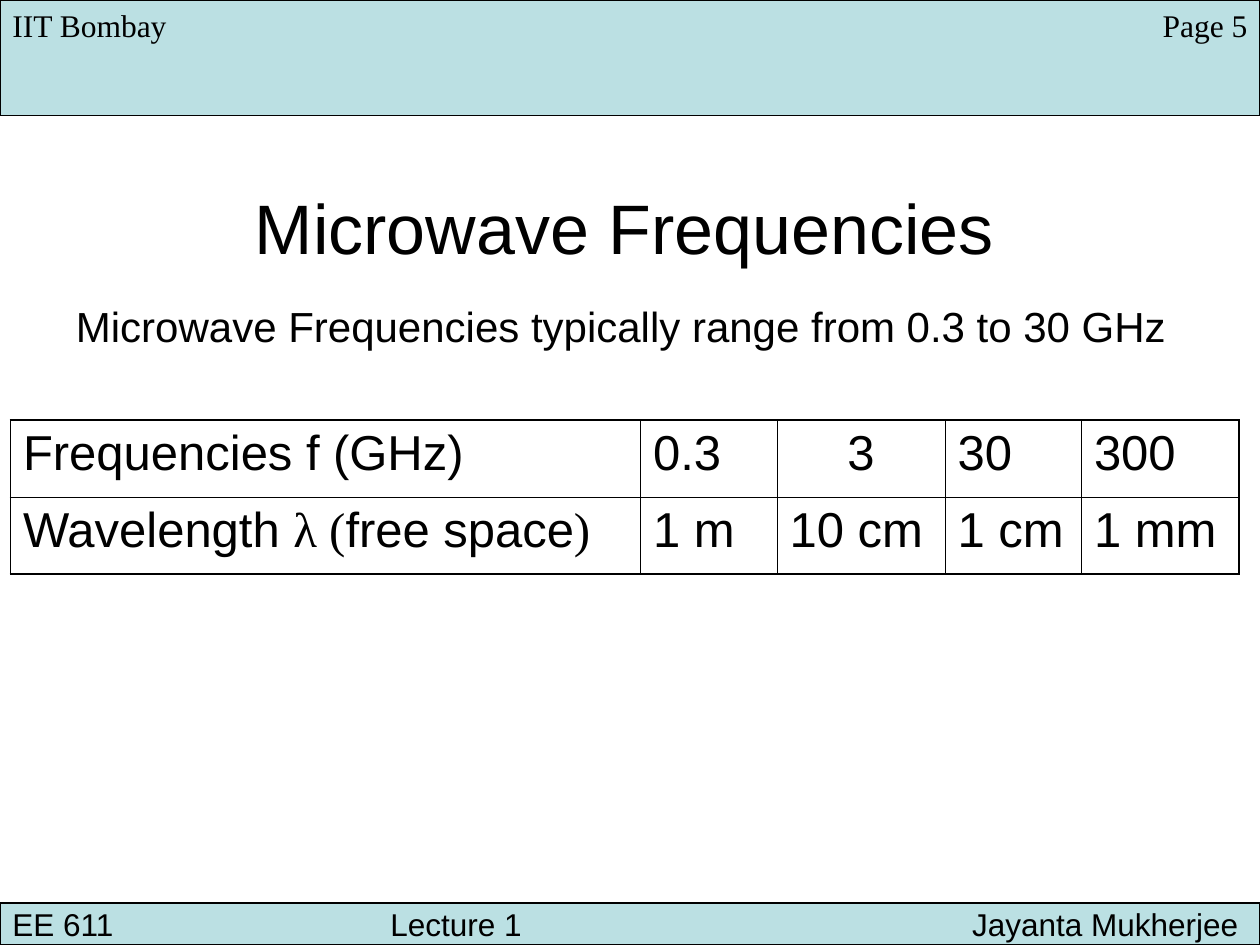
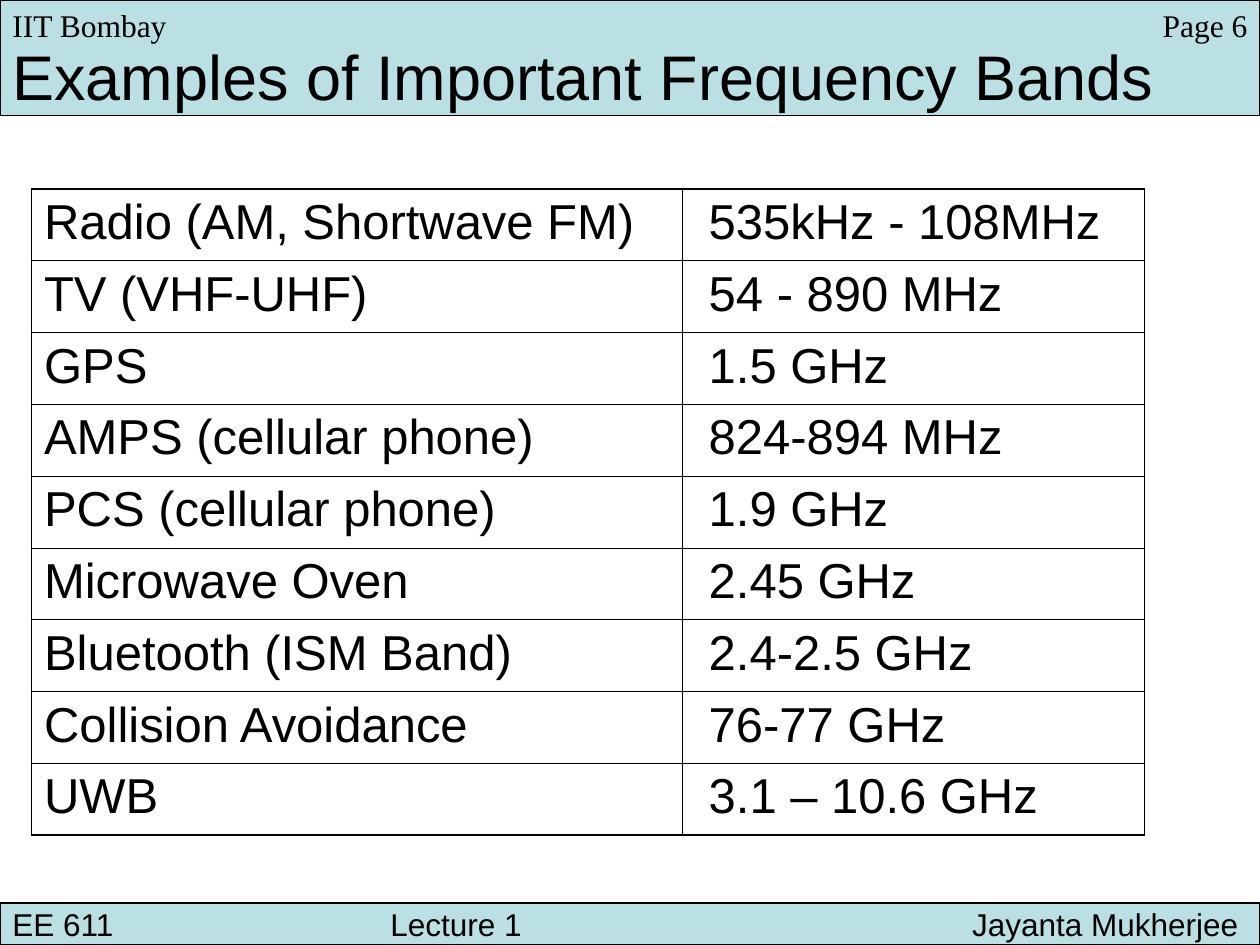
from lxml import etree
from pptx import Presentation
from pptx.dml.color import RGBColor
from pptx.enum.shapes import MSO_SHAPE
from pptx.enum.text import MSO_ANCHOR, PP_ALIGN
from pptx.oxml.ns import qn
from pptx.util import Inches, Pt

RECTANGLE = MSO_SHAPE.RECTANGLE
MIDDLE = MSO_ANCHOR.MIDDLE
LEFT, CENTER, RIGHT = PP_ALIGN.LEFT, PP_ALIGN.CENTER, PP_ALIGN.RIGHT

# Grid of twelfths of an inch: 120 columns by 90 rows
COLUMNS, ROWS, CELLS_PER_INCH = 120, 90, 12
HEADER_ROWS, FOOTER_ROWS = 11, 4
LABEL_ROWS, PAGE_LABEL_COLUMNS = 4.8, 12

BAND, INK = "BBE0E3", "000000"
SANS, SERIF = "Arial", "Times New Roman"
OUTER_LINE, INNER_LINE = 1.08, 0.45
TABLE_SIZE, LABEL_SIZE = 28, 18
VALUE_INDENT = 2.5

FREQUENCIES = [
    ["Frequencies f (GHz)", "0.3", "3", "30", "300"],
    [[("Wavelength ", SANS), ("λ (", SERIF), ("free space", SANS), (")", SERIF)],
     "1 m", "10 cm", "1 cm", "1 mm"],
]
BANDS = [
    ["Radio (AM, Shortwave FM)", "535kHz - 108MHz"],
    ["TV (VHF-UHF)", "54 - 890 MHz"],
    ["GPS", "1.5 GHz"],
    ["AMPS (cellular phone)", "824-894 MHz"],
    ["PCS (cellular phone)", "1.9 GHz"],
    ["Microwave Oven", "2.45 GHz"],
    ["Bluetooth (ISM Band)", "2.4-2.5 GHz"],
    ["Collision Avoidance", "76-77 GHz"],
    ["UWB", "3.1 – 10.6 GHz"],
]


def color(hex_code):
    return RGBColor.from_string(hex_code)


def grid(cells):
    return Inches(cells / CELLS_PER_INCH)


def style(font, size, name=SANS):
    font.size, font.name = Pt(size), name
    font.color.rgb = color(INK)


def add_text(page, text, left, top, width, height, size, name=SANS, align=LEFT):
    box = page.shapes.add_textbox(grid(left), grid(top), grid(width), grid(height))
    box.text_frame.word_wrap = True
    para = box.text_frame.paragraphs[0]
    para.text = text
    para.alignment = align
    style(para.font, size, name)


def add_band(page, top, height):
    band = page.shapes.add_shape(RECTANGLE, 0, grid(top), grid(COLUMNS), grid(height))
    band.shadow.inherit = False
    band.fill.solid()
    band.fill.fore_color.rgb = color(BAND)
    band.line.color.rgb = color(INK)
    band.line.width = Pt(0.75)
    return band


def add_tab_stops(para, stops):
    tab_list = etree.SubElement(para._p.get_or_add_pPr(), qn("a:tabLst"))
    for inches, side in stops:
        etree.SubElement(tab_list, qn("a:tab"), pos=str(Inches(inches)), algn=side)


def add_footer(page):
    band = add_band(page, ROWS - FOOTER_ROWS, FOOTER_ROWS)
    frame = band.text_frame
    frame.vertical_anchor = MIDDLE
    para = frame.paragraphs[0]
    para.text = "EE 611\tLecture 1\tJayanta Mukherjee"
    para.alignment = LEFT
    add_tab_stops(para, [(3, "l"), (9.73, "r")])
    style(para.font, LABEL_SIZE)


def add_page(deck, number):
    """Blank page with the shared header, labels and footer."""
    page = deck.slides.add_slide(deck.slide_layouts[6])
    add_band(page, 0, HEADER_ROWS)
    add_footer(page)
    add_text(page, "IIT Bombay", 0, 0, 18, LABEL_ROWS, LABEL_SIZE, SERIF)
    add_text(page, f"Page {number}", COLUMNS - PAGE_LABEL_COLUMNS, 0,
             PAGE_LABEL_COLUMNS, LABEL_ROWS, LABEL_SIZE, SERIF, RIGHT)
    return page


def set_borders(cell, outer_sides):
    properties = cell._tc.get_or_add_tcPr()
    for index, side in enumerate("LRTB"):
        width = OUTER_LINE if side in outer_sides else INNER_LINE
        line = etree.Element(qn(f"a:ln{side}"), w=str(Pt(width)))
        fill = etree.SubElement(line, qn("a:solidFill"))
        etree.SubElement(fill, qn("a:srgbClr"), val=INK)
        properties.insert(index, line)


def fill_cell(cell, content):
    """Write plain text, or a list of (text, font name) spans."""
    cell.fill.background()
    para = cell.text_frame.paragraphs[0]
    if isinstance(content, str):
        para.text = content
        style(para.font, TABLE_SIZE)
        return
    for text, name in content:
        span = para.add_run()
        span.text = text
        style(span.font, TABLE_SIZE, name)


def add_grid_table(page, data, left, top, widths, row_height):
    last_row, last_column = len(data) - 1, len(widths) - 1
    table = page.shapes.add_table(
        len(data), len(widths), grid(left), grid(top),
        grid(sum(widths)), grid(row_height * len(data))).table
    table.first_row = table.horz_banding = False
    for column, width in zip(table.columns, widths):
        column.width = grid(width)
    for r, values in enumerate(data):
        table.rows[r].height = grid(row_height)
        for c, content in enumerate(values):
            cell = table.cell(r, c)
            fill_cell(cell, content)
            edges = {"L": c == 0, "R": c == last_column, "T": r == 0, "B": r == last_row}
            set_borders(cell, [side for side, outer in edges.items() if outer])
    return table


def add_frequencies_page(deck):
    page = add_page(deck, 5)
    add_text(page, "Microwave Frequencies", 23.1, 17, 74, 9.2, 40)
    add_text(page, "Microwave Frequencies typically range from 0.3 to 30 GHz",
             6.05, 28, 108, 6, 24)
    table = add_grid_table(page, FREQUENCIES, 1, 40, [60, 13, 16, 13, 15], 7.33)
    table.cell(0, 2).text_frame.paragraphs[0].alignment = CENTER


def add_bands_page(deck):
    page = add_page(deck, 6)
    add_text(page, "Examples of Important Frequency Bands", 0, 3, COLUMNS, 8.4, 36)
    table = add_grid_table(page, BANDS, 3, 18, [62, 44], 6.84)
    for row in table.rows:
        row.cells[1].margin_left = grid(VALUE_INDENT)


def main():
    deck = Presentation()
    deck.slide_width, deck.slide_height = grid(COLUMNS), grid(ROWS)
    add_frequencies_page(deck)
    add_bands_page(deck)
    deck.save("out.pptx")


if __name__ == "__main__":
    main()
